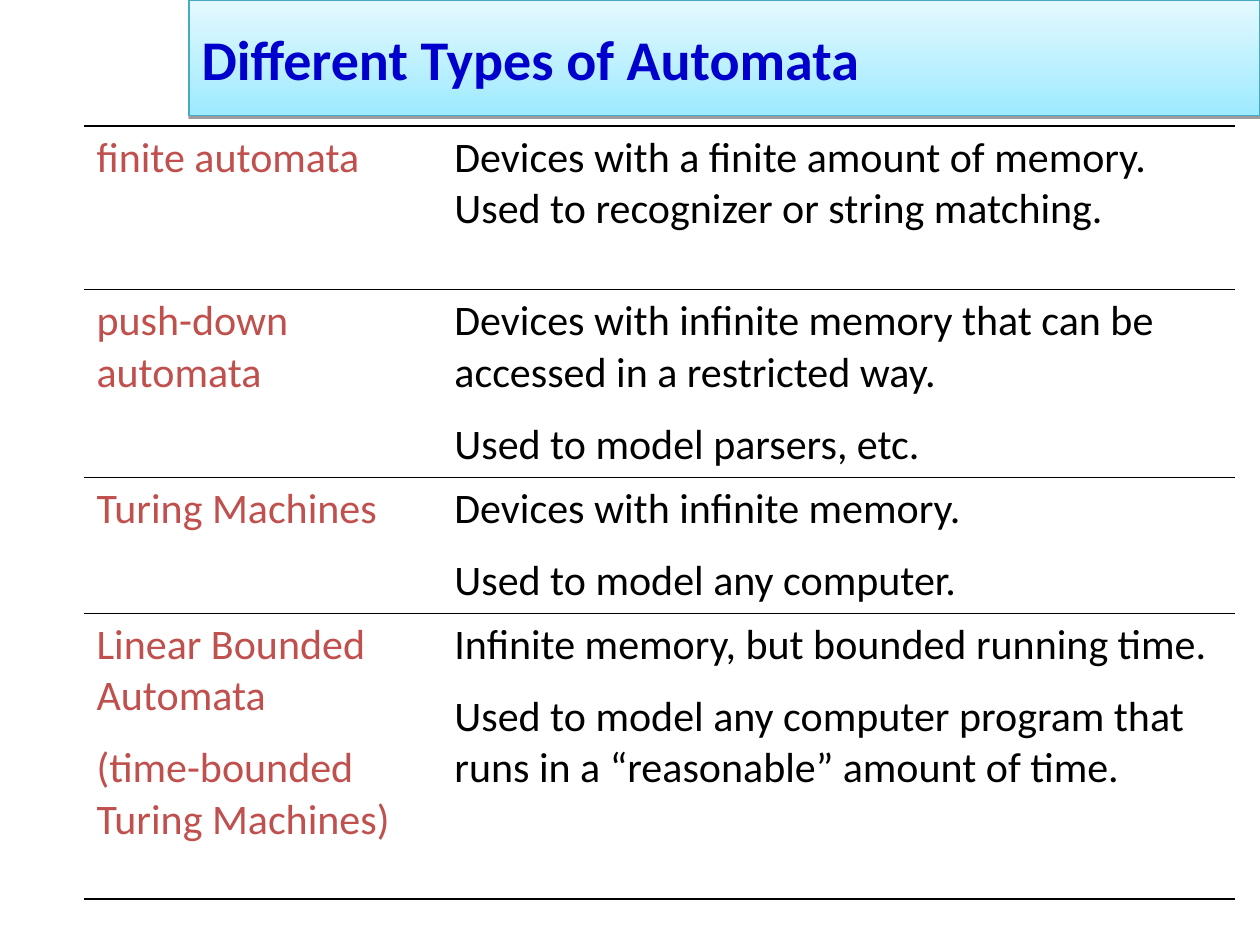
from lxml.etree import SubElement
from pptx import Presentation
from pptx.dml.color import RGBColor
from pptx.enum.text import MSO_ANCHOR, MSO_AUTO_SIZE, PP_ALIGN
from pptx.oxml.ns import qn
from pptx.util import Pt

BLACK = "000000"
RED = "C0504D"
COLUMN_WIDTHS = (204.5, 453.5)
ROW_HEIGHTS = (93.6, 106.5, 77.5, 163.4)
INNER_RULE, OUTER_RULE = 0.45, 1.08

AUTOMATA = [
    (["finite automata"],
     ["Devices with a finite amount of memory.\nUsed to recognizer or string matching."]),
    (["push-down automata"],
     ["Devices with infinite memory that can be accessed in a restricted way.",
      "Used to model parsers, etc."]),
    (["Turing Machines"],
     ["Devices with infinite memory.", "Used to model any computer."]),
    (["Linear Bounded Automata", "(time-bounded Turing Machines)"],
     ["Infinite memory, but bounded running time.",
      "Used to model any computer program that runs in a “reasonable” amount of time."]),
]


def color(value):
    return RGBColor.from_string(value)


def apply(target, values):
    for name, value in values.items():
        setattr(target, name, value)


class SlideBuilder:
    title_font = {"name": "Calibri", "size": Pt(32), "bold": True}
    cell_font = {"name": "Calibri", "size": Pt(24), "bold": False}
    margins = {"margin_left": Pt(7.2), "margin_right": Pt(7.2),
               "margin_top": Pt(3.6), "margin_bottom": Pt(3.6)}
    title_format = {**margins, "word_wrap": True, "auto_size": MSO_AUTO_SIZE.NONE,
                    "vertical_anchor": MSO_ANCHOR.MIDDLE}
    cell_format = {**margins, "vertical_anchor": MSO_ANCHOR.TOP}

    def __init__(self, presentation):
        self.slide = presentation.slides.add_slide(presentation.slide_layouts[5])

    def paragraphs(self, text_frame, lines, font, font_color):
        for index, line in enumerate(lines):
            paragraph = text_frame.add_paragraph() if index else text_frame.paragraphs[0]
            paragraph.text = line
            apply(paragraph, {"alignment": PP_ALIGN.LEFT, "space_before": Pt(12 if index else 0)})
            apply(paragraph.font, font)
            paragraph.font.color.rgb = color(font_color)

    def title(self, text, left, top, width, height):
        shape = self.slide.shapes.title
        apply(shape, {"left": Pt(left), "top": Pt(top), "width": Pt(width), "height": Pt(height)})
        shape.fill.gradient()
        shape.fill.gradient_angle = 90
        for stop, value in zip(shape.fill.gradient_stops, ("9EEAFF", "E4F9FF")):
            stop.color.rgb = color(value)
        shape.line.color.rgb = color("46AAC5")
        shape.line.width = Pt(0.75)
        self.shadow(shape)
        apply(shape.text_frame, self.title_format)
        self.paragraphs(shape.text_frame, [text], self.title_font, "0000CC")

    def shadow(self, shape):
        effects = SubElement(shape.element.spPr, qn("a:effectLst"))
        outer = SubElement(effects, qn("a:outerShdw"), blurRad="0", dist=str(Pt(1.6)),
                           dir="5400000", rotWithShape="0")
        shade = SubElement(outer, qn("a:srgbClr"), val=BLACK)
        SubElement(shade, qn("a:alpha"), val="38000")

    def border(self, cell, side, width):
        properties = cell._tc.get_or_add_tcPr()
        line = SubElement(properties, qn(f"a:ln{side}"), w=str(Pt(width)))
        if width:
            fill = SubElement(line, qn("a:solidFill"))
            SubElement(fill, qn("a:srgbClr"), val=BLACK)
        else:
            SubElement(line, qn("a:noFill"))

    def table(self, rows, left, top):
        table = self.slide.shapes.add_table(
            len(rows), len(COLUMN_WIDTHS), Pt(left), Pt(top),
            Pt(sum(COLUMN_WIDTHS)), Pt(sum(ROW_HEIGHTS))).table
        apply(table, {"first_row": False, "horz_banding": False})
        for column, width in zip(table.columns, COLUMN_WIDTHS):
            column.width = Pt(width)
        for row, height in zip(table.rows, ROW_HEIGHTS):
            row.height = Pt(height)
        for row_index, row in enumerate(rows):
            top_rule = INNER_RULE if row_index else OUTER_RULE
            bottom_rule = OUTER_RULE if row_index == len(rows) - 1 else INNER_RULE
            for column_index, (lines, font_color) in enumerate(zip(row, (RED, BLACK))):
                cell = table.cell(row_index, column_index)
                for side, width in zip("LRTB", (0, 0, top_rule, bottom_rule)):
                    self.border(cell, side, width)
                cell.fill.background()
                apply(cell, self.cell_format)
                self.paragraphs(cell.text_frame, lines, self.cell_font, font_color)


def main():
    presentation = Presentation()
    apply(presentation, {"slide_width": Pt(720), "slide_height": Pt(540)})
    builder = SlideBuilder(presentation)
    builder.table(AUTOMATA, 48, 72)
    builder.title("Different Types of Automata", 108, 0, 612, 66)
    presentation.save("out.pptx")


if __name__ == "__main__":
    main()
